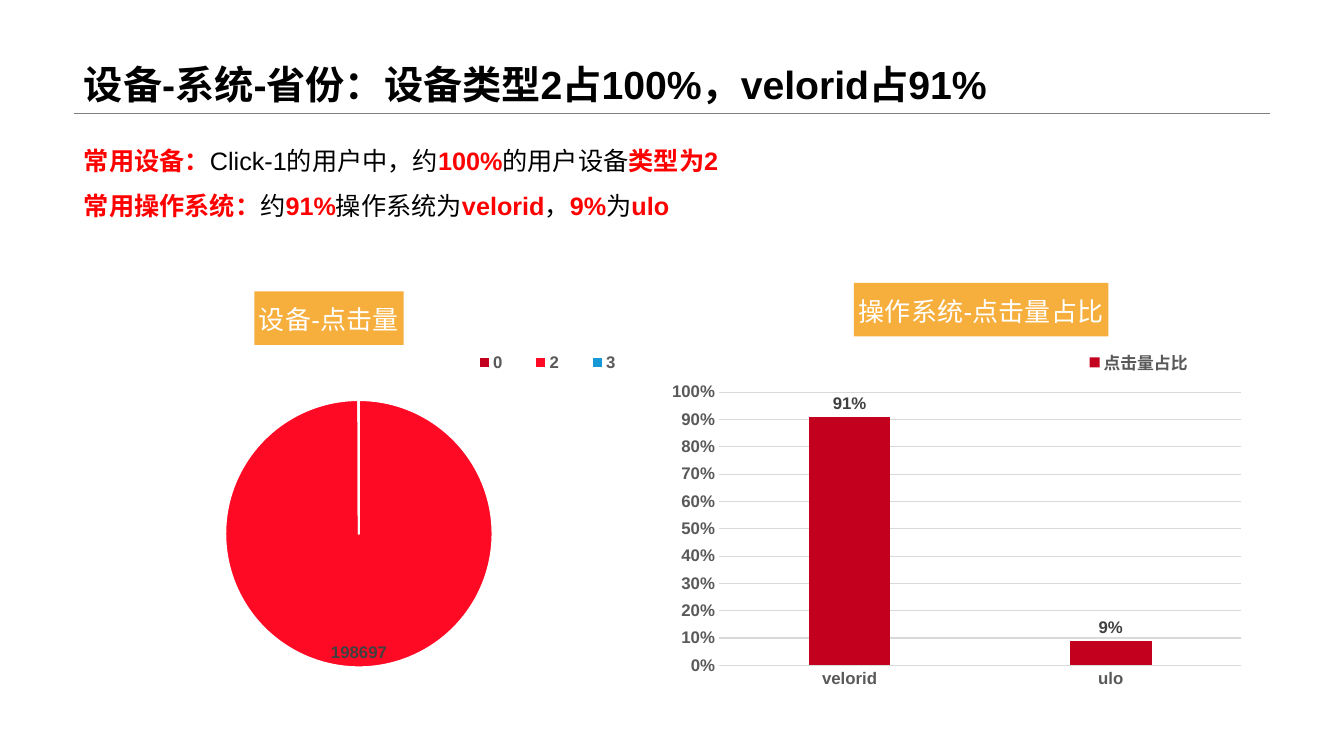
"""Build the slide on device and system click shares."""
from lxml.etree import SubElement
from pptx import Presentation
from pptx.chart.data import CategoryChartData
from pptx.dml.color import RGBColor
from pptx.enum.chart import XL_CHART_TYPE, XL_LABEL_POSITION, XL_LEGEND_POSITION, XL_TICK_MARK
from pptx.enum.shapes import MSO_CONNECTOR
from pptx.enum.text import MSO_ANCHOR
from pptx.oxml import parse_xml
from pptx.oxml.ns import nsdecls, qn
from pptx.util import Pt

PX = 9071
RED, GREY, RULE = "C4001F", "595959", "D9D9D9"
hue = RGBColor.from_string


def style(font, size, color, bold):
    looks = {"name": "Arial", "size": Pt(size), "bold": bold}
    for key, value in looks.items():
        setattr(font, key, value)
    font.color.rgb = hue(color)


def lay(parent, index, inner=False, **sides):
    for old in parent.findall(qn("c:layout")):
        parent.remove(old)
    layout = parse_xml(f"<c:layout {nsdecls('c')}><c:manualLayout/></c:layout>")
    parent.insert(index, layout)
    if inner:
        SubElement(layout[0], qn("c:layoutTarget"), val="inner")
    for side in "xy":
        SubElement(layout[0], qn(f"c:{side}Mode"), val="edge")
    for side, value in sides.items():
        SubElement(layout[0], qn(f"c:{side}"), val=str(value))


deck = Presentation()
deck.slide_width, deck.slide_height = 1344 * PX, 756 * PX
slide = deck.slides.add_slide(deck.slide_layouts[6])
shapes = slide.shapes

line = shapes.add_connector(
    MSO_CONNECTOR.STRAIGHT, 74 * PX, 113 * PX, 1270 * PX, 113 * PX)
line.line.color.rgb = hue("808080")
line.line.width = Pt(0.25)
SubElement(line._element.spPr, qn("a:effectLst"))

heading = [[("设备-系统-省份：设备类型2占100%，velorid占91%", True)]]
notes = [
    [("常用设备：", True), ("Click-1的用户中，约", False), ("100%", True),
     ("的用户设备", False), ("类型为2", True)],
    [("常用操作系统：", True), ("约", False), ("91%", True), ("操作系统为", False),
     ("velorid", True), ("，", False), ("9%", True), ("为", False), ("ulo", True)],
]
texts = [
    (0, 113, 28, 0.9, "000000", MSO_ANCHOR.BOTTOM, heading),
    (125, 102, 18, 1.5, "FF0000", MSO_ANCHOR.TOP, notes),
]
for top, height, size, space, accent, anchor, rows in texts:
    frame = shapes.add_textbox(74 * PX, top * PX, 1197 * PX, height * PX).text_frame
    frame.word_wrap = True
    frame.vertical_anchor = anchor
    for i, row in enumerate(rows):
        para = frame.add_paragraph() if i else frame.paragraphs[0]
        para.line_spacing = space
        for words, strong in row:
            run = para.add_run()
            run.text = words
            style(run.font, size, accent if strong else "000000", strong)

charts = [
    {"type": XL_CHART_TYPE.PIE, "box": (45, 283, 598, 418),
     "cats": ["0", "2", "3"], "name": "Series 1", "vals": [3, 198697, 87],
     "title": "设备-点击量", "spot": {"x": 0.35, "y": 0.02},
     "key": {"x": 0.68, "y": 0.15, "w": 0.32, "h": 0.08},
     "plot": {"x": 0.3, "y": 0.28, "w": 0.45, "h": 0.64}},
    {"type": XL_CHART_TYPE.COLUMN_CLUSTERED, "box": (672, 248, 587, 497),
     "cats": ["velorid", "ulo"], "name": "点击量占比", "vals": [0.91, 0.09],
     "title": "操作系统-点击量占比", "spot": {"x": 0.31, "y": 0.07},
     "key": {"x": 0.69, "y": 0.2, "w": 0.21, "h": 0.06},
     "plot": {"x": 0.08, "y": 0.29, "w": 0.89, "h": 0.55}},
]
made = []
for item in charts:
    data = CategoryChartData()
    data.categories = item["cats"]
    data.add_series(item["name"], item["vals"])
    box = [n * PX for n in item["box"]]
    chart = shapes.add_chart(item["type"], *box, data).chart
    style(chart.font, 10, "000000", False)
    title = chart.chart_title
    title.text_frame.text = item["title"]
    style(title.text_frame.paragraphs[0].runs[0].font, 18.6, "FFFFFF", False)
    title.format.fill.solid()
    title.format.fill.fore_color.rgb = hue("F6AE3C")
    lay(title._element, 1, **item["spot"])
    chart.has_legend = True
    legend = chart.legend
    legend.position = XL_LEGEND_POSITION.BOTTOM
    legend.include_in_layout = False
    style(legend.font, 12, GREY, True)
    lay(legend._element, 1, **item["key"])
    lay(chart._chartSpace.chart.plotArea, 0, True, **item["plot"])
    made.append(chart)

pie, bars = made
pie.plots[0].vary_by_categories = True
part = pie.plots[0].series[0]
part.data_labels.show_value = False
for i, color in enumerate([RED, "FF0A24", "1899D7"]):
    slice_ = part.points[i].format
    slice_.fill.solid()
    slice_.fill.fore_color.rgb = hue(color)
    slice_.line.color.rgb = hue("FFFFFF")
    slice_.line.width = Pt(1.5)
label = part.points[1].data_label
style(label.font, 12, "404040", True)
label.position = XL_LABEL_POSITION.INSIDE_END

plot = bars.plots[0]
for key, value in {"vary_by_categories": False, "gap_width": 219, "overlap": -27}.items():
    setattr(plot, key, value)
fill = plot.series[0].format.fill
fill.solid()
fill.fore_color.rgb = hue(RED)
labels = plot.series[0].data_labels
looks = {"show_value": True, "position": XL_LABEL_POSITION.OUTSIDE_END,
         "number_format": "0%", "number_format_is_linked": False}
for key, value in looks.items():
    setattr(labels, key, value)
style(labels.font, 12, "404040", True)

for axis in (bars.category_axis, bars.value_axis):
    axis.major_tick_mark = axis.minor_tick_mark = XL_TICK_MARK.NONE
    style(axis.tick_labels.font, 12, GREY, True)
scale = bars.value_axis
for key, value in {"minimum_scale": 0, "maximum_scale": 1, "major_unit": 0.1}.items():
    setattr(scale, key, value)
scale.tick_labels.number_format = "0%"
scale.tick_labels.number_format_is_linked = False
scale.format.line.fill.background()
for rule in (bars.category_axis.format.line, scale.major_gridlines.format.line):
    rule.color.rgb = hue(RULE)
    rule.width = Pt(0.75)

deck.save("out.pptx")
